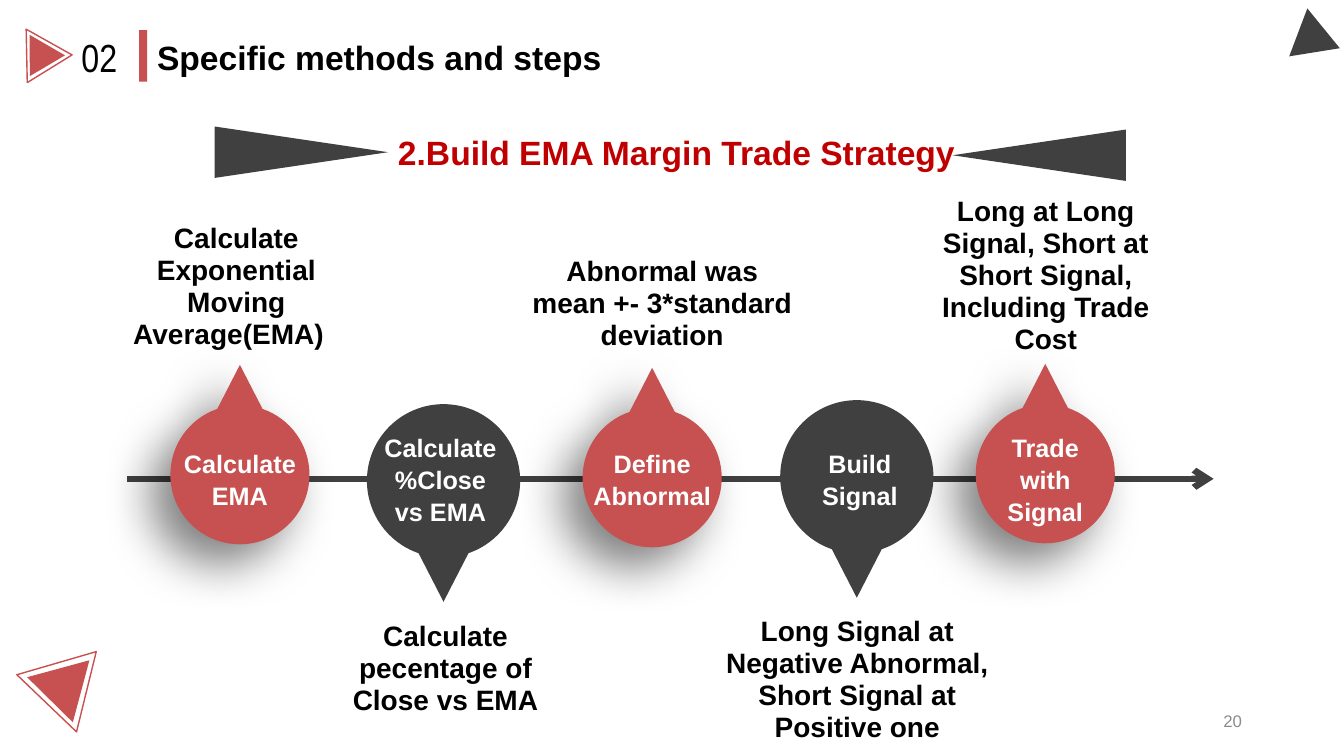
import math
from lxml import etree
from pptx import Presentation
from pptx import util as u
from pptx.dml.color import RGBColor
from pptx.enum import shapes, text
from pptx.oxml.ns import qn

COLORS = {"red": "C75050", "dark": "404040", "title": "C00000",
          "black": "000000", "white": "FFFFFF", "grey": "8C8C8C"}
H = 7.5
W = H * 16 / 9
LEFT, CENTER, RIGHT = text.PP_ALIGN.LEFT, text.PP_ALIGN.CENTER, text.PP_ALIGN.RIGHT
LABEL_W, LABEL_MID, ROW = 1.38, 4.75, 0.32  # ROW: one 23 pt line in inches
TIP_GAP = 19  # degrees on each side of the tip

# centre x, centre y, radii, direction of the tip (-1 up, 1 down), colour
PINS = [
    (2.38, 4.71, [0.69], -1, "red"),
    (6.47, 4.74, [0.69], -1, "red"),
    (10.37, 4.7, [0.69], -1, "red"),
    (8.5, 4.73, [0.76, 0.73], 1, "dark"),
    (4.4, 4.77, [0.76, 0.73], 1, "dark"),
]
# label, label centre x, label lines
LABELS = [
    ("Calculate EMA", 2.38, 2),
    ("Calculate %Close vs EMA", 4.37, 3),
    ("Define Abnormal", 6.47, 2),
    ("Build Signal", 8.53, 2),
    ("Trade with Signal", 10.37, 3),
]
# note, left, top, width, lines
NOTES = [
    ("Calculate Exponential Moving Average(EMA)  ", 1.16, 2.15, 2.37, 4),
    ("Calculate pecentage of Close vs EMA", 3.13, 6.1, 2.58, 3),
    ("Abnormal was mean +- 3*standard deviation", 5.17, 2.48, 2.8, 3),
    ("Long Signal at Negative Abnormal, Short Signal at Positive one", 7.1, 6.05, 2.81, 4),
    ("Long at Long Signal, Short at Short Signal, Including Trade Cost", 9.2, 1.88, 2.35, 5),
]
# centre x, centre y, width, height, rotation, colour, filled
TRIANGLES = [
    (0.49, 0.55, 0.53, 0.45, 88.8, "red", False),
    (0.47, 0.55, 0.41, 0.35, 89.8, "red", True),
    (0.66, 6.92, 0.82, 0.71, 163.8, "red", False),
    (0.65, 6.9, 0.64, 0.55, 164.8, "red", True),
    (12.96, 0.42, 0.51, 0.44, 230.8, "dark", True),
    (10.31, 1.54, 0.51, 1.72, 270, "dark", True),
    (2.99, 1.51, 0.51, 1.72, 90, "dark", True),
]

prs = Presentation()
prs.slide_width, prs.slide_height = u.Inches(W), u.Inches(H)
s = prs.slides.add_slide(prs.slide_layouts[6])


def rgb(name):
    return RGBColor.from_string(COLORS[name])


def paint(sp, color, filled=True):
    sp.shadow.inherit = False
    if filled:
        sp.fill.solid()
        sp.fill.fore_color.rgb = rgb(color)
        sp.line.fill.background()
    else:
        sp.fill.background()
        sp.line.color.rgb = rgb(color)
        sp.line.width = u.Pt(1)


def add_text(words, x, y, w, h, size, color, bold=True, align=CENTER,
             spacing=None, font="Arial", middle=False, grow=True):
    tf = s.shapes.add_textbox(*map(u.Inches, (x, y, w, h))).text_frame
    tf.word_wrap = True
    tf.auto_size = text.MSO_AUTO_SIZE.SHAPE_TO_FIT_TEXT if grow else text.MSO_AUTO_SIZE.NONE
    tf.vertical_anchor = text.MSO_ANCHOR.MIDDLE if middle else text.MSO_ANCHOR.TOP
    p = tf.paragraphs[0]
    p.text, p.alignment = words, align
    if spacing:
        p.line_spacing = spacing
    p.font.name, p.font.size, p.font.bold = font, u.Pt(size), bold
    p.font.color.rgb = rgb(color)


def add_pin(cx, cy, r, way, color):
    """A disc with a pointed tip; its outline is four Bezier arcs."""
    def emu(x, y):
        return u.Inches(cx + r * x), u.Inches(cy + way * r * y)

    turns = [math.radians(a) for a in (TIP_GAP, 90, 180, 270, 360 - TIP_GAP)]
    fb = s.shapes.build_freeform(*emu(0, 1.58), scale=1)
    fb.add_line_segments([emu(math.sin(a), math.cos(a)) for a in turns], close=True)
    sp = fb.convert_to_shape()
    sides = list(sp._element.iter(qn("a:lnTo")))[1:]
    for side, a, b in zip(sides, turns, turns[1:]):
        k = 4 / 3 * math.tan((b - a) / 4)
        handles = [emu(math.sin(a) + k * math.cos(a), math.cos(a) - k * math.sin(a)),
                   emu(math.sin(b) - k * math.cos(b), math.cos(b) + k * math.sin(b))]
        side.tag = qn("a:cubicBezTo")
        for i, (x, y) in enumerate(handles):
            pt = etree.Element(qn("a:pt"), x=str(x - sp.left), y=str(y - sp.top))
            side.insert(i, pt)
    paint(sp, color)
    return sp


def add_shadow(sp):
    effects = sp._element.spPr.find(qn("a:effectLst"))
    shadow = etree.SubElement(effects, qn("a:outerShdw"), blurRad=str(u.Pt(35)),
                              dist=str(u.Pt(20)), dir=str(135 * 60000),
                              algn="tr", rotWithShape="0")
    tone = etree.SubElement(shadow, qn("a:srgbClr"), val=COLORS["black"])
    etree.SubElement(tone, qn("a:alpha"), val="50000")


def add_timeline(x1, x2, y):
    cn = s.shapes.add_connector(shapes.MSO_CONNECTOR.STRAIGHT,
                                *map(u.Inches, (x1, y, x2, y)))
    cn.line.color.rgb, cn.line.width = rgb("dark"), u.Pt(4.5)
    etree.SubElement(cn.line._get_or_add_ln(), qn("a:tailEnd"), type="arrow")
    etree.SubElement(cn._element.spPr, qn("a:effectLst"))


add_timeline(1.26, 12.04, LABEL_MID)
for cx, cy, radii, way, color in PINS:
    for r in radii:
        sp = add_pin(cx, cy, r, way, color)
        if color == "red":
            add_shadow(sp)

for words, cx, lines in LABELS:
    h = lines * ROW + 0.1
    add_text(words, cx - LABEL_W / 2, LABEL_MID - h / 2, LABEL_W, h, 18, "white",
             spacing=u.Pt(23))
for words, x, y, w, lines in NOTES:
    add_text(words, x, y, w, lines * ROW + 0.1, 20, "black", spacing=u.Pt(23))

for cx, cy, w, h, angle, color, filled in TRIANGLES:
    sp = s.shapes.add_shape(shapes.MSO_SHAPE.ISOSCELES_TRIANGLE,
                            *map(u.Inches, (cx - w / 2, cy - h / 2, w, h)))
    sp.rotation = angle
    paint(sp, color, filled)

bar = s.shapes.add_shape(shapes.MSO_SHAPE.RECTANGLE,
                         *map(u.Inches, (1.38, 0.3, 0.08, 0.51)))
paint(bar, "red")
add_text("02", 0.71, 0.28, 0.75, 0.57, 28, "black", bold=False, align=LEFT,
         font="Arial Narrow")
add_text("Specific methods and steps", 1.46, 0.32, 6.95, 0.5, 24, "black", align=LEFT)
add_text("2.Build EMA Margin Trade Strategy", 3.85, 1.05, 6.25, 0.71, 24, "title",
         align=LEFT, spacing=1.5, middle=True)
add_text("20", 9.42, 6.95, 3, 0.4, 12, "grey", bold=False, align=RIGHT,
         middle=True, grow=False)

prs.save("out.pptx")
